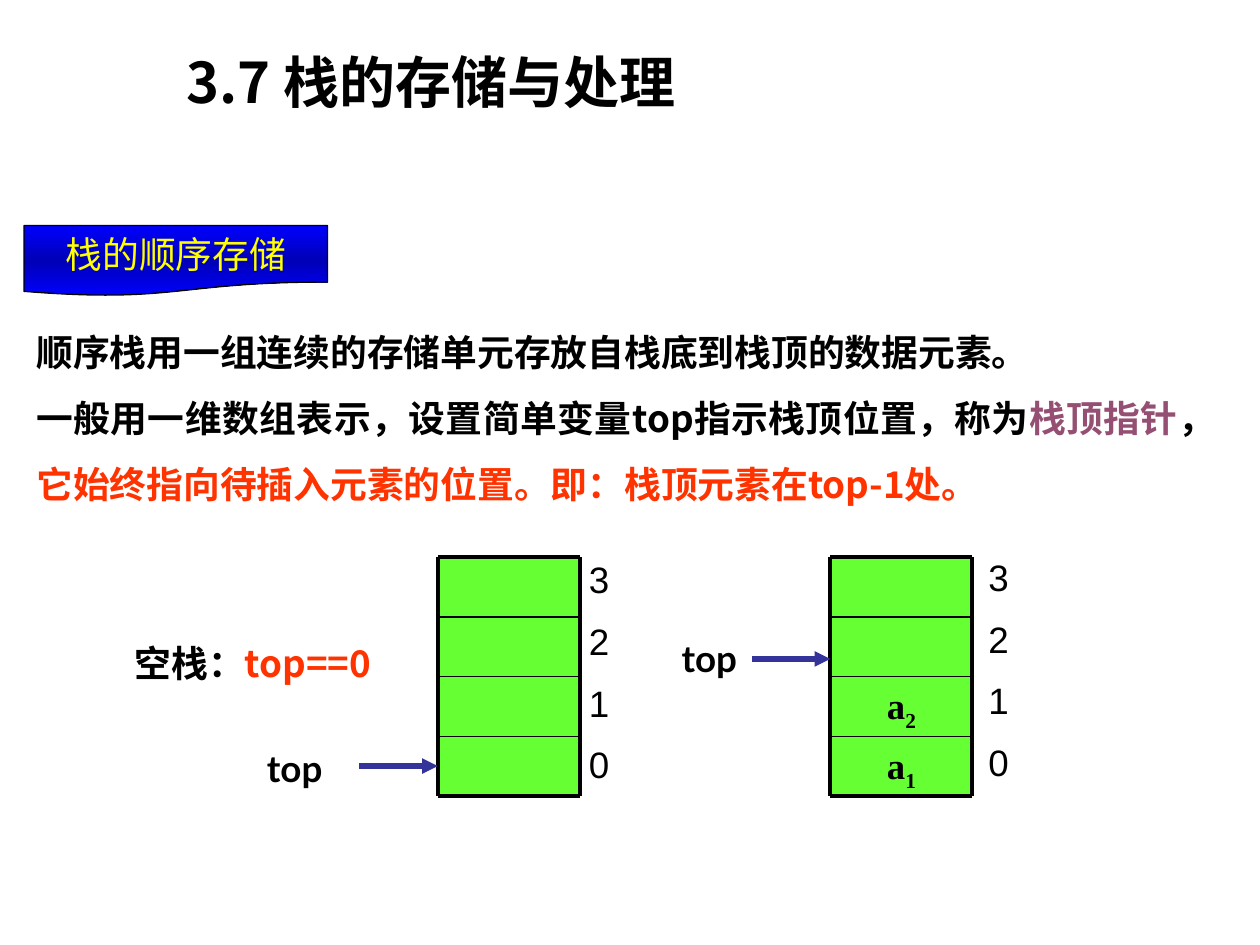
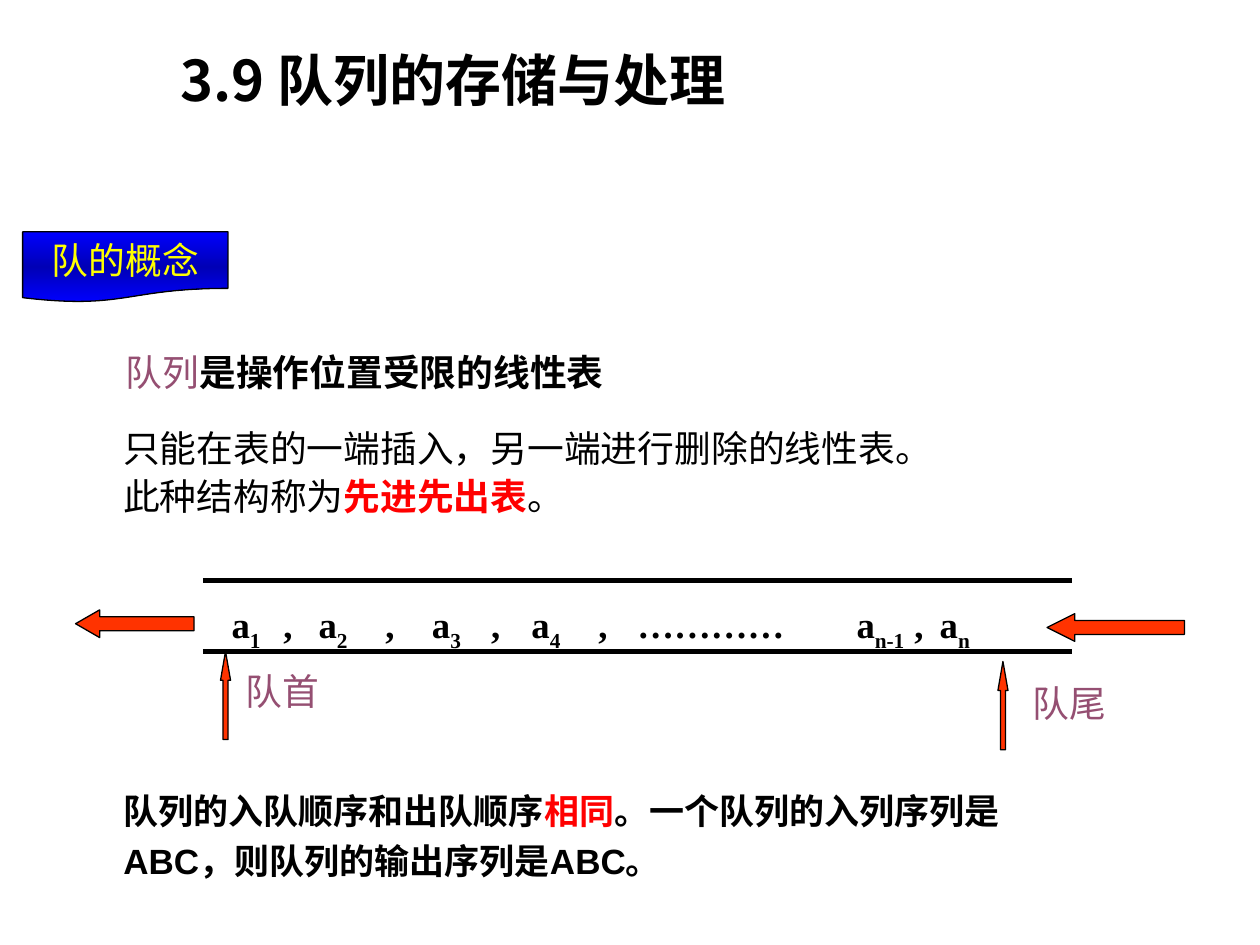
from dataclasses import dataclass
from typing import NamedTuple, Optional

from lxml import etree
from pptx import Presentation
from pptx import util as u
from pptx.dml.color import RGBColor
from pptx.enum import shapes, text
from pptx.oxml import ns, parse_xml

# Slide size and its grid of square cells
WIDTH, HEIGHT = u.Inches(10), u.Inches(7.5)
COLUMNS, ROWS = 100, 75

# Shared colours and fonts
BLACK = RGBColor(0x00, 0x00, 0x00)
BLUE = RGBColor(0x00, 0x00, 0xFF)
YELLOW = RGBColor(0xFF, 0xFF, 0x00)
GREEN = RGBColor(0x66, 0xFF, 0x33)
ORANGE = RGBColor(0xFF, 0x33, 0x00)
RED = RGBColor(0xFF, 0x00, 0x00)
PURPLE = RGBColor(0x95, 0x4F, 0x72)
INDIGO = RGBColor(0x33, 0x33, 0x99)
CHINESE, ARIAL, LATO, TIMES = "Noto Sans CJK SC", "Arial", "Lato", "Times New Roman"
PLAIN_TABLE = "{2D5ABB26-0587-4C30-8999-92F81FD0307C}"
CENTER, JUSTIFY = text.PP_ALIGN.CENTER, text.PP_ALIGN.JUSTIFY


class Box(NamedTuple):
    """A place on the slide, in grid columns and rows."""
    column: float
    row: float
    width: float
    height: float


@dataclass
class Run:
    """A piece of text with its own colour, weight or subscript."""
    words: str
    color: Optional[RGBColor] = None
    bold: Optional[bool] = None
    subscript: bool = False


@dataclass
class Stack:
    """A drawn stack; cell texts run from top to bottom."""
    column: float
    elements: tuple
    index_box: Box
    top_label: Box
    arrow_start: float
    arrow_row: float


@dataclass
class BlockArrow:
    kind: shapes.MSO_SHAPE
    box: Box
    head: float


def x(columns: float) -> int:
    return round(WIDTH * columns / COLUMNS)


def y(rows: float) -> int:
    return round(HEIGHT * rows / ROWS)


def place(box: Box) -> tuple:
    return x(box.column), y(box.row), x(box.width), y(box.height)


# Text
def write(frame, paragraphs, *, size=21, font=CHINESE, color=BLACK, bold=False,
          align=text.PP_ALIGN.LEFT, spacing=None, before=0, tabs=(), wrap=True,
          anchor=text.MSO_ANCHOR.TOP) -> None:
    """Fill a text frame; each paragraph is a list of runs."""
    frame.word_wrap = wrap
    frame.vertical_anchor = anchor
    for index, runs in enumerate(paragraphs):
        paragraph = frame.add_paragraph() if index else frame.paragraphs[0]
        paragraph.alignment = align
        paragraph.line_spacing = spacing
        paragraph.space_before = u.Pt(before if index else 0)
        if tabs:
            properties = paragraph._p.get_or_add_pPr()
            tab_list = etree.SubElement(properties, ns.qn("a:tabLst"))
            for tab in tabs:
                etree.SubElement(tab_list, ns.qn("a:tab"), pos=str(x(tab)), algn="l")
        for item in runs:
            run = paragraph.add_run()
            run.text = item.words
            run.font.size = u.Pt(size)
            run.font.bold = bold if item.bold is None else item.bold
            run.font.color.rgb = item.color or color
            run.font.name = font
            properties = run._r.get_or_add_rPr()
            east_asian = CHINESE if font == ARIAL else font
            etree.SubElement(properties, ns.qn("a:ea"), typeface=east_asian)
            if item.subscript:
                properties.set("baseline", "-25000")


def add_text(slide, box: Box, *paragraphs, **text_format) -> None:
    write(slide.shapes.add_textbox(*place(box)).text_frame, paragraphs, **text_format)


# Shapes and lines
def add_shape(slide, kind, box: Box, fill=None, line=None):
    shape = slide.shapes.add_shape(kind, *place(box))
    shape.shadow.inherit = False
    if fill is not None:
        shape.fill.solid()
        shape.fill.fore_color.rgb = fill
    if line is None:
        shape.line.fill.background()
    else:
        shape.line.color.rgb = line
        shape.line.width = u.Pt(0.75)
    return shape


def add_line(slide, start, end, width: float, color=BLACK, arrow=False) -> None:
    line = slide.shapes.add_connector(shapes.MSO_CONNECTOR.STRAIGHT, x(start[0]),
                                      y(start[1]), x(end[0]), y(end[1]))
    line.line.color.rgb = color
    line.line.width = u.Pt(width)
    if arrow:
        etree.SubElement(line.line._get_or_add_ln(), ns.qn("a:tailEnd"), type="triangle")
    etree.SubElement(line._element.spPr, ns.qn("a:effectLst"))


# Parts that the slides share
def add_title(slide, words: str, box: Box) -> None:
    add_text(slide, box, [Run(words)], size=32, bold=True, align=CENTER, wrap=False)


def add_banner(slide, words: str, box: Box) -> None:
    banner = add_shape(slide, shapes.MSO_SHAPE.FLOWCHART_DOCUMENT, box, line=BLACK)
    banner.fill.gradient()
    banner.fill.gradient_angle = 90
    bright = f'<a:srgbClr val="{BLUE}"/>'
    dark = f'<a:srgbClr val="{BLUE}"><a:shade val="46275"/></a:srgbClr>'
    stops = "".join(f'<a:gs pos="{position}">{color}</a:gs>' for position, color
                    in ((0, bright), (50000, dark), (100000, bright)))
    stop_list = next(banner._element.spPr.iter(ns.qn("a:gsLst")))
    stop_list.getparent().replace(
        stop_list, parse_xml(f'<a:gsLst {ns.nsdecls("a")}>{stops}</a:gsLst>'))
    write(banner.text_frame, [[Run(words)]], color=YELLOW, align=CENTER,
          anchor=text.MSO_ANCHOR.MIDDLE)


# Stack drawing
STACK_TOP, CELL_WIDTH, CELL_HEIGHT, CELL_COUNT = 44.2, 11.28, 4.75, 4


def add_indices(slide, box: Box) -> None:
    frame = slide.shapes.add_table(CELL_COUNT, 1, *place(box))
    table = frame.table
    table.first_row = table.horz_banding = False
    table._tbl.tblPr.find(ns.qn("a:tableStyleId")).text = PLAIN_TABLE
    for row in range(CELL_COUNT):
        cell = table.cell(row, 0)
        cell.fill.background()
        cell.margin_left = cell.margin_right = u.Inches(0.07)
        cell.margin_top = cell.margin_bottom = u.Inches(0.04)
        write(cell.text_frame, [[Run(str(CELL_COUNT - 1 - row))]], font=ARIAL, align=CENTER)


def add_stack(slide, stack: Stack) -> None:
    left, right = stack.column, stack.column + CELL_WIDTH
    edges = [STACK_TOP + CELL_HEIGHT * row for row in range(CELL_COUNT + 1)]
    for edge, subscript in zip(edges, stack.elements):
        cell = add_shape(slide, shapes.MSO_SHAPE.RECTANGLE,
                         Box(left, edge, CELL_WIDTH, CELL_HEIGHT), GREEN)
        if subscript:
            write(cell.text_frame, [[Run("a"), Run(subscript, subscript=True)]],
                  font=TIMES, bold=True, align=CENTER)
    for edge in edges:
        outer = edge in (edges[0], edges[-1])
        add_line(slide, (left, edge), (right, edge), 2.25 if outer else 1)
    for side in (left, right):
        add_line(slide, (side, edges[0]), (side, edges[-1]), 2.25)
    add_line(slide, (stack.arrow_start, stack.arrow_row), (left, stack.arrow_row), 3,
             INDIGO, arrow=True)
    add_text(slide, stack.top_label, [Run(" top")], font=LATO, bold=True, align=JUSTIFY)
    add_indices(slide, stack.index_box)


STACKS = (
    Stack(34.75, ("", "", "", ""), Box(45.5, 44.1, 4.1, 19.6),
          Box(19.5, 58.7, 9.4, 4.5), 28.5, 60.8),
    Stack(65.9, ("", "", "2", "1"), Box(77.2, 43.9, 4.1, 19.6),
          Box(52.4, 50, 9.8, 4.5), 59.7, 52.3),
)


def build_stack_slide(slide) -> None:
    add_title(slide, "3.7 栈的存储与处理", Box(12.9, 3.3, 42.6, 6.4))
    add_banner(slide, "栈的顺序存储", Box(1.9, 17.9, 24.1, 5.6))
    add_text(slide, Box(1.9, 23.9, 95.5, 16.9),
             [Run("顺序栈用一组连续的存储单元存放自栈底到栈顶的数据元素。")],
             [Run("一般用一维数组表示，设置简单变量top指示栈顶位置，称为"),
              Run("栈顶指针", PURPLE), Run("，"),
              Run("它始终指向待插入元素的位置。即：栈顶元素在top-1处。", ORANGE)],
             bold=True, align=JUSTIFY, spacing=1.5)
    for stack in STACKS:
        add_stack(slide, stack)
    add_text(slide, Box(9.7, 48.6, 22.6, 6.3), [Run("空栈："), Run("top==0", ORANGE)],
             bold=True, align=JUSTIFY, spacing=1.5)


# Queue drawing: tab stops carry the elements and the commas between them
QUEUE_ELEMENTS = ("1", "2", "3", "4", "…", "n-1", "n")
QUEUE_TABS = (2.9, 7, 9.8, 15.1, 18.8, 23.5, 26.7, 32, 35.1, 52.5, 57.1, 59.1)
QUEUE_ARROWS = (
    BlockArrow(shapes.MSO_SHAPE.LEFT_ARROW, Box(6, 48.4, 9.4, 2.2), 0.87),
    BlockArrow(shapes.MSO_SHAPE.LEFT_ARROW, Box(83.1, 48.7, 10.9, 2.2), 1),
    BlockArrow(shapes.MSO_SHAPE.UP_ARROW, Box(17.5, 51.7, 0.8, 7), 2.88),
    BlockArrow(shapes.MSO_SHAPE.UP_ARROW, Box(79.2, 52.5, 0.8, 7), 2.88),
)


def queue_runs() -> list:
    runs = []
    for index, name in enumerate(QUEUE_ELEMENTS):
        if name == "…":
            runs.append(Run("\t" + name * 4))
            continue
        runs += [Run("\ta"), Run(name, subscript=True)]
        if index < len(QUEUE_ELEMENTS) - 1:
            runs.append(Run("\t,"))
    return runs


def add_queue(slide) -> None:
    for row in (46.1, 51.7):
        add_line(slide, (16.1, row), (85.1, row), 3)
    add_text(slide, Box(14.5, 47.3, 74, 4.5), queue_runs(), font=TIMES, bold=True,
             tabs=QUEUE_TABS)
    for arrow in QUEUE_ARROWS:
        shape = add_shape(slide, arrow.kind, arrow.box, ORANGE, BLACK)
        shape.adjustments[0], shape.adjustments[1] = 0.5, arrow.head
    for words, column, row in (("队首", 18.5, 53), ("队尾", 81, 53.9)):
        add_text(slide, Box(column, row, 8, 5.1), [Run(words)], color=PURPLE, spacing=0.9)


def build_queue_slide(slide) -> None:
    add_title(slide, "3.9 队列的存储与处理", Box(12.4, 3.1, 47.1, 6.4))
    add_banner(slide, "队的概念", Box(1.8, 18.4, 16.3, 5.6))
    add_text(slide, Box(9, 27.7, 63.8, 5.1),
             [Run("队列", PURPLE), Run("是操作位置受限的线性表", bold=True)], spacing=0.9)
    add_text(slide, Box(8.8, 33.8, 85.6, 8.8),
             [Run("只能在表的一端插入，另一端进行删除的线性表。")],
             [Run("此种结构称为"), Run("先进先出表", RED, True), Run("。")],
             spacing=0.85, before=6)
    add_queue(slide)
    add_text(slide, Box(8.8, 61.5, 79.2, 8.7),
             [Run("队列的入队顺序和出队顺序"), Run("相同", RED),
              Run("。一个队列的入列序列是ABC，则队列的输出序列是ABC。")],
             size=20, font=ARIAL, bold=True, spacing=1.2)


def main() -> None:
    presentation = Presentation()
    presentation.slide_width, presentation.slide_height = WIDTH, HEIGHT
    blank = presentation.slide_layouts[6]
    for build in (build_stack_slide, build_queue_slide):
        build(presentation.slides.add_slide(blank))
    presentation.save("out.pptx")


if __name__ == "__main__":
    main()
